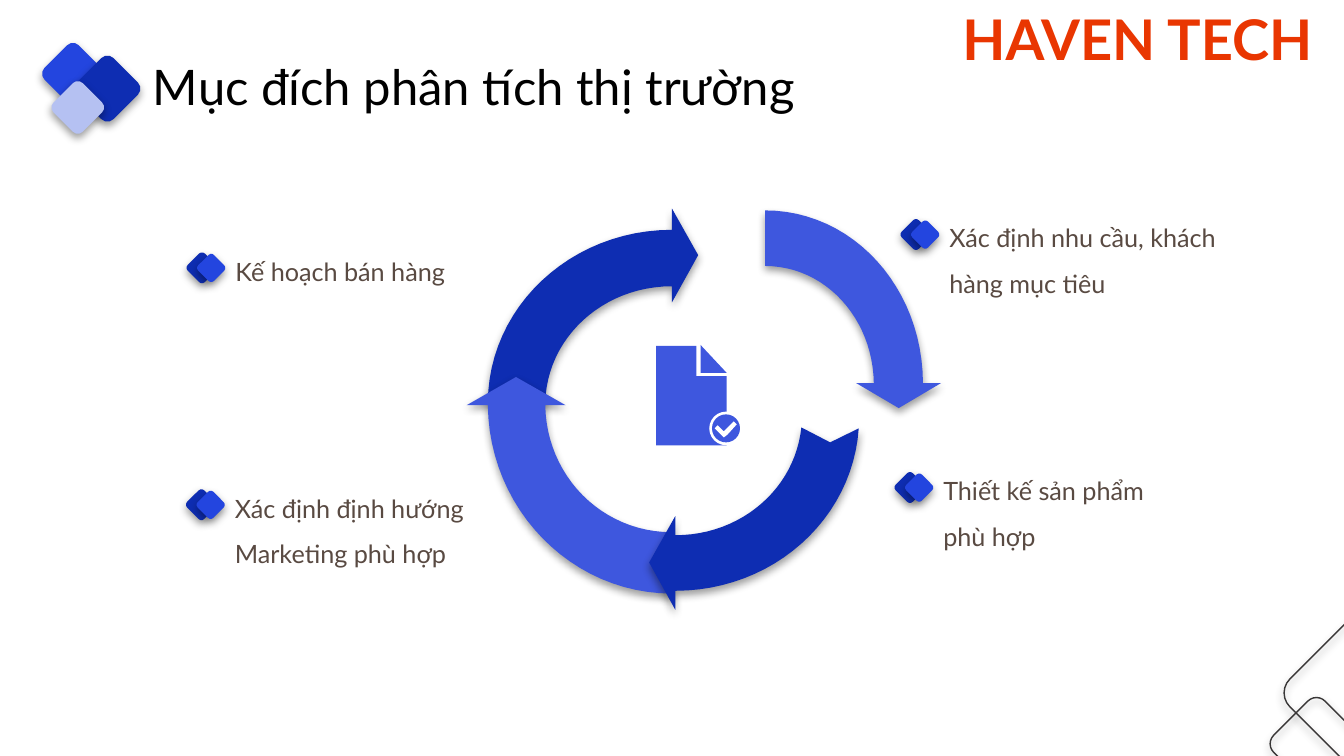
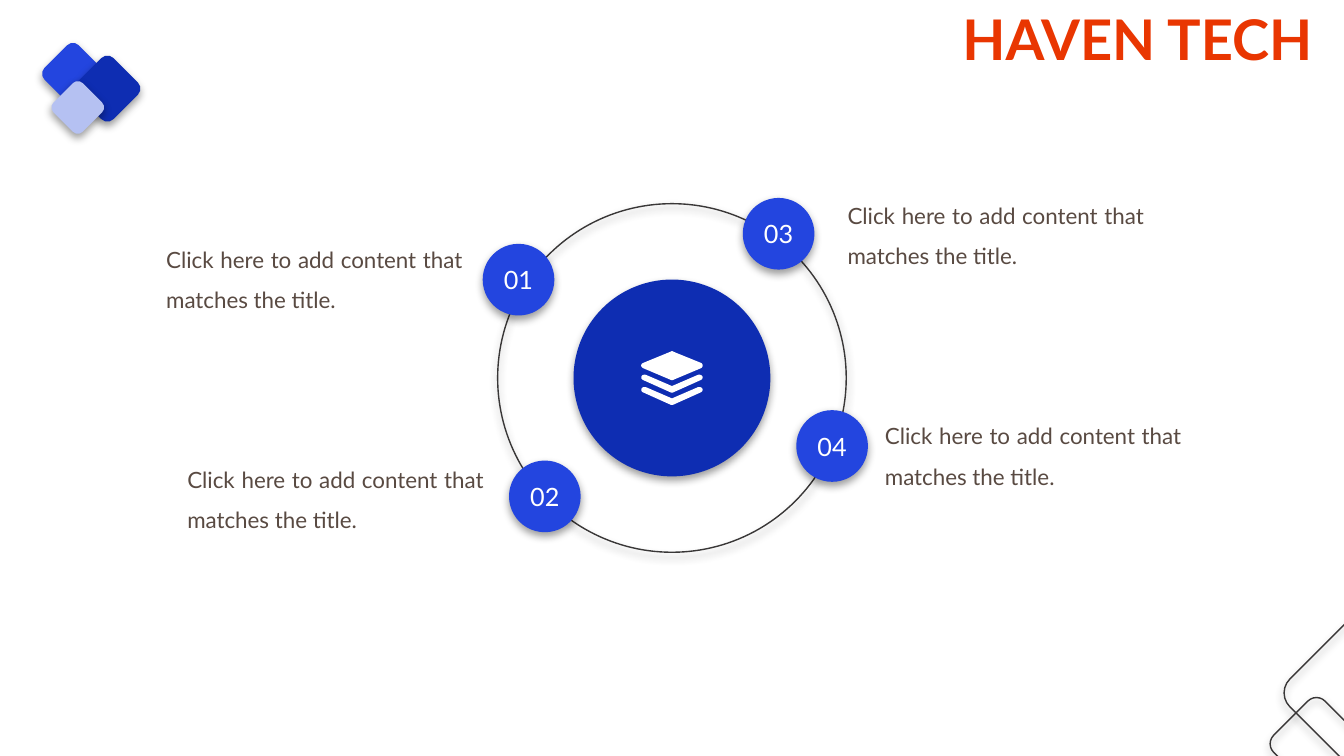
"""Build two slides that show market analysis steps as circular diagrams."""
from lxml.etree import SubElement
from pptx import Presentation
from pptx.dml.color import RGBColor
from pptx.enum.shapes import MSO_SHAPE as Preset
from pptx.enum.text import MSO_ANCHOR as Anchor, PP_ALIGN as Align
from pptx.oxml.ns import qn
from pptx.util import Pt

FONT = "Lato"
NAVY = RGBColor(0x0E, 0x2D, 0xB2)
BLUE = RGBColor(0x23, 0x45, 0xDF)
PERIWINKLE = RGBColor(0x3E, 0x57, 0xDE)
PALE = RGBColor(0xB5, 0xC1, 0xF2)
BROWN = RGBColor(0x59, 0x4A, 0x42)
CHARCOAL = RGBColor(0x39, 0x37, 0x37)
ORANGE = RGBColor(0xE9, 0x36, 0x01)
WHITE = RGBColor(0xFF, 0xFF, 0xFF)
BLACK = RGBColor(0, 0, 0)

CURVE_STEPS = 24

# Outline entries: a pair is a straight step, three pairs are a Bezier curve.
CYCLE_ARROWS = [
    (PERIWINKLE, [
        (546.5, 190), (546.5, 150.3), ((609, 150.3), (659, 205), (659.3, 273.6)),
        (672.3, 273.6), (642, 291.5), (611.5, 273.6), (624.2, 273.6),
        ((623.5, 227.5), (589.7, 190), (546.5, 190))]),
    (NAVY, [
        (480, 164.2), ((407.5, 164.2), (348.5, 219.6), (348.5, 288)), (389.5, 288),
        ((390.2, 242), (430, 204.5), (480, 204.5)),
        (480, 216), (498.7, 182.3), (480, 149)]),
    (PERIWINKLE, [
        (333.4, 289.4), (348.5, 289.4), ((349.2, 363.6), (408.2, 424), (480, 424)),
        (480, 380.2), ((429.8, 380.2), (390.2, 339.8), (389.5, 289.4)),
        (404, 289.4), (368.6, 269.3)]),
    (NAVY, [
        (482.4, 422), ((552.2, 422), (609, 370.8), (613.4, 306)),
        (593, 316), (572.4, 305.3), ((568, 348.5), (530, 382.3), (482.4, 382.3)),
        (482.4, 368.6), (463.7, 401.8), (482.4, 435.6)]),
]
PAGE_BODY = [(468.7, 247), (497.5, 247), (497.5, 268.6), (519.1, 268.6),
             (519.1, 318.2), (468.7, 318.2)]
PAGE_FOLD = [(500.4, 246.4), (519.1, 266.4), (500.4, 266.4)]
CHECK = [(524.2, 301), (517, 308.2), (512.6, 303.8), (510.5, 306),
         (517, 312.5), (519.8, 310.3), (526.3, 303.1)]
TOP_LAYER = [
    (459.5, 263), ((457.5, 262), (457.5, 260), (459.5, 259.2)), (479, 251.2),
    ((479.7, 250.7), (480.3, 250.7), (481, 251.2)), (500.7, 259.2),
    ((502.3, 260), (502.3, 262), (500.7, 263)), (481.2, 271.2),
    ((480.5, 271.6), (479.5, 271.6), (478.8, 271.2))]
LOWER_LAYER = [
    (459.4, 271.5), ((457, 270.3), (458, 267), (461.5, 267.8)), (480, 275.8),
    (498.5, 267.8), ((502, 267), (503, 270.3), (500.6, 271.5)), (481.2, 280.2),
    ((480.5, 280.6), (479.5, 280.6), (478.8, 280.2))]
LAYER_GAP = 8.8

PURPOSES = [
    ("Xác định nhu cầu, khách hàng mục tiêu", 671, 144.7, 227),
    ("Thiết kế sản phẩm phù hợp", 666.7, 325.4, 179),
    ("Kế hoạch bán hàng", 161, 168.5, 200),
    ("Xác định định hướng Marketing phù hợp", 160.6, 337.7, 201),
]
PLACEHOLDER = "Click here to add content that matches the title."
STEPS = [
    ("01", (370.4, 199.8), (111.6, 162.7)),
    ("02", (389.2, 354.6), (126.7, 319.7)),
    ("03", (556.2, 167), (598.3, 131)),
    ("04", (594.4, 318.6), (625, 288.7)),
]


def add_shadow(shape):
    """Give a shape the soft shadow that falls straight down."""
    effects = shape.element.spPr.find(qn("a:effectLst"))
    shadow = SubElement(effects, qn("a:outerShdw"), blurRad=str(Pt(6)), dist=str(Pt(3)),
                        dir="5400000", algn="t", rotWithShape="0")
    color = SubElement(shadow, qn("a:srgbClr"), val="000000")
    SubElement(color, qn("a:alpha"), val="39000")


def paint(shape, fill, shadow):
    """Fill a shape, or outline it when it has no fill."""
    shape.shadow.inherit = False
    if fill is None:
        shape.fill.background()
        shape.line.color.rgb = CHARCOAL
        shape.line.width = Pt(1)
    else:
        shape.fill.solid()
        shape.fill.fore_color.rgb = fill
        shape.line.fill.background()
    if shadow:
        add_shadow(shape)


def add_diamond(page, left, top, size, fill=None):
    """Add a rounded square that stands on its corner."""
    diamond = page.shapes.add_shape(Preset.ROUNDED_RECTANGLE,
                                    Pt(left), Pt(top), Pt(size), Pt(size))
    diamond.rotation = 45
    paint(diamond, fill, True)


def add_circle(page, center, size, fill=None, shadow=True):
    """Add a circle around a center point."""
    left, top = (Pt(value - size / 2) for value in center)
    circle = page.shapes.add_shape(Preset.OVAL, left, top, Pt(size), Pt(size))
    paint(circle, fill, shadow)
    return circle


def flatten(outline):
    """Turn straight steps and curves into a list of points."""
    points = []
    for entry in outline:
        if not isinstance(entry[0], tuple):
            points.append(entry)
            continue
        corners = (points[-1], *entry)
        for step in range(1, CURVE_STEPS + 1):
            t = step / CURVE_STEPS
            weights = ((1 - t) ** 3, 3 * t * (1 - t) ** 2, 3 * t * t * (1 - t), t ** 3)
            points.append(tuple(sum(weight * corner[axis]
                                    for weight, corner in zip(weights, corners))
                                for axis in (0, 1)))
    return points


def add_outline(page, outline, fill, shadow=False, drop=0):
    """Add a filled freeform, moved down by drop."""
    points = [(Pt(x), Pt(y + drop)) for x, y in flatten(outline)]
    builder = page.shapes.build_freeform(*points[0])
    builder.add_line_segments(points[1:])
    paint(builder.convert_to_shape(), fill, shadow)


def write(frame, text, size, color, align=Align.LEFT, spacing=1.0, bold=False):
    """Write one paragraph into a text frame."""
    frame.word_wrap = True
    para = frame.paragraphs[0]
    para.text = text
    para.alignment = align
    para.line_spacing = spacing
    para.font.name = FONT
    para.font.size = Pt(size)
    para.font.bold = bold
    para.font.color.rgb = color


def add_text(page, text, left, top, width, height, size, color, **style):
    """Add a wrapping text box."""
    box = page.shapes.add_textbox(Pt(left), Pt(top), Pt(width), Pt(height))
    write(box.text_frame, text, size, color, **style)


def add_purpose(page, text, left, top, width):
    """Add a text with its double diamond bullet."""
    add_text(page, text, left, top, width, 68, 18, BROWN, spacing=1.5)
    add_diamond(page, left - 25.4, top + 14.2, 17.3, NAVY)
    add_diamond(page, left - 18, top + 15, 15.8, BLUE)


def add_step(page, number, center, text_corner):
    """Add a numbered circle and the text next to it."""
    circle = add_circle(page, center, 51.2, BLUE)
    frame = circle.text_frame
    frame.margin_left = frame.margin_right = frame.margin_top = frame.margin_bottom = 0
    frame.vertical_anchor = Anchor.MIDDLE
    write(frame, number, 18, WHITE, align=Align.CENTER)
    add_text(page, PLACEHOLDER, *text_corner, 226, 62, 16, BROWN,
             align=Align.JUSTIFY, spacing=1.5)


def add_page(deck):
    """Add a blank slide with the shared corner ornaments and header."""
    page = deck.slides.add_slide(deck.slide_layouts[6])
    add_diamond(page, 34.8, 35.4, 34.6, BLUE)
    add_diamond(page, 58.2, 44.8, 37, NAVY)
    add_diamond(page, 40.8, 62, 29.5, PALE)
    add_diamond(page, 914.4, 505.4, 51.8)
    add_diamond(page, 928.8, 453, 83.9)
    add_text(page, "HAVEN TECH", 680.4, 0, 280, 55.4, 40, ORANGE, bold=True)
    return page


def build_purposes(deck):
    """Build the slide with the arrow cycle."""
    page = add_page(deck)
    for fill, outline in CYCLE_ARROWS:
        add_outline(page, outline, fill, shadow=True)
    for purpose in PURPOSES:
        add_purpose(page, *purpose)
    add_text(page, "Mục đích phân tích thị trường", 102.2, 36.7, 693, 50, 35, BLACK)
    add_outline(page, PAGE_BODY, PERIWINKLE)
    add_outline(page, PAGE_FOLD, PERIWINKLE)
    for size, fill in ((24, WHITE), (20, PERIWINKLE)):
        add_circle(page, (518.6, 306), size, fill, shadow=False)
    add_outline(page, CHECK, WHITE)


def build_steps(deck):
    """Build the slide with numbered steps on a ring."""
    page = add_page(deck)
    add_circle(page, (480, 270), 140.6, NAVY)
    add_outline(page, TOP_LAYER, WHITE)
    for index in range(2):
        add_outline(page, LOWER_LAYER, WHITE, drop=index * LAYER_GAP)
    add_circle(page, (480, 270), 249)
    for step in STEPS:
        add_step(page, *step)


def main():
    """Build and save the deck."""
    deck = Presentation()
    deck.slide_width, deck.slide_height = Pt(960), Pt(540)
    build_purposes(deck)
    build_steps(deck)
    deck.save("out.pptx")


if __name__ == "__main__":
    main()
